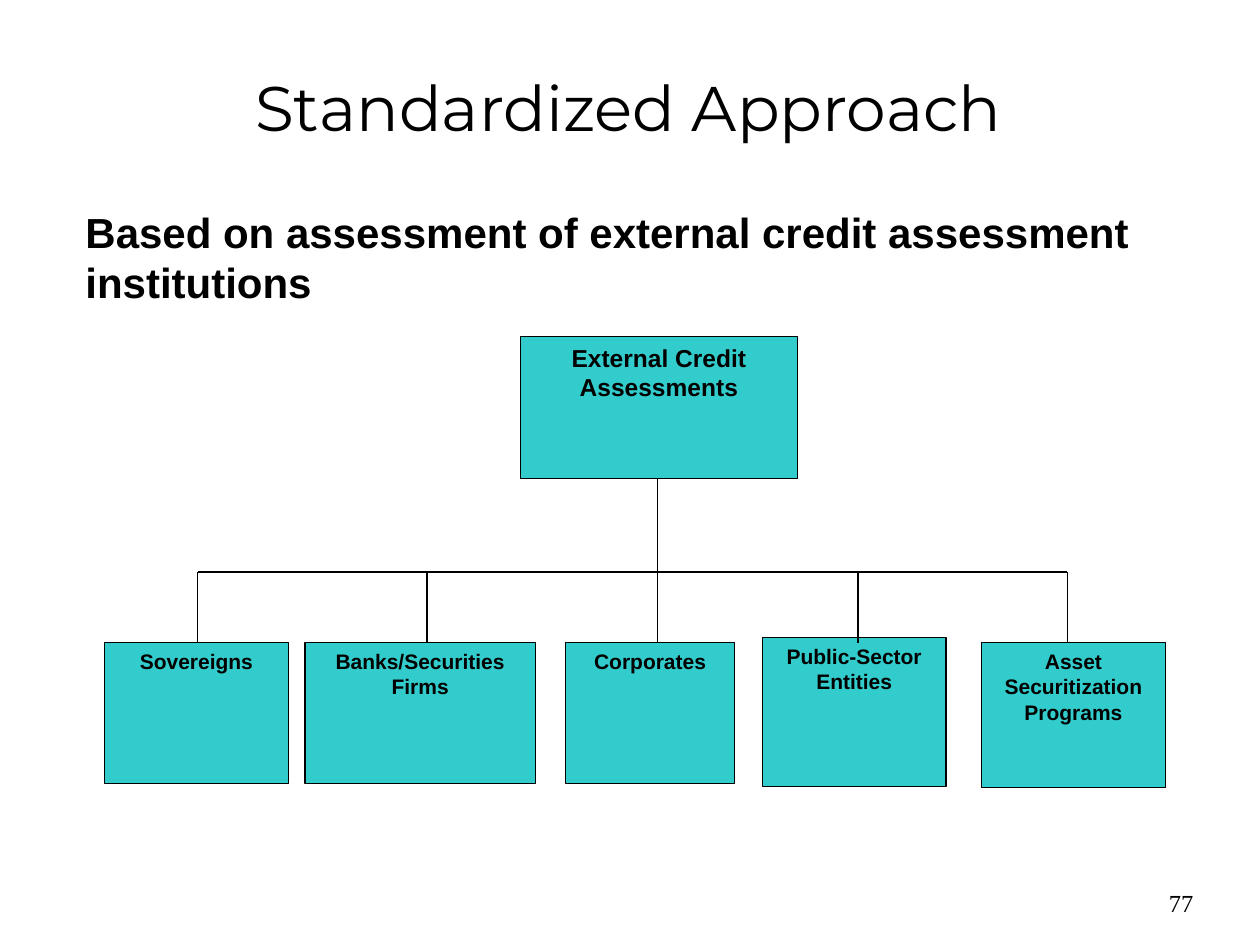
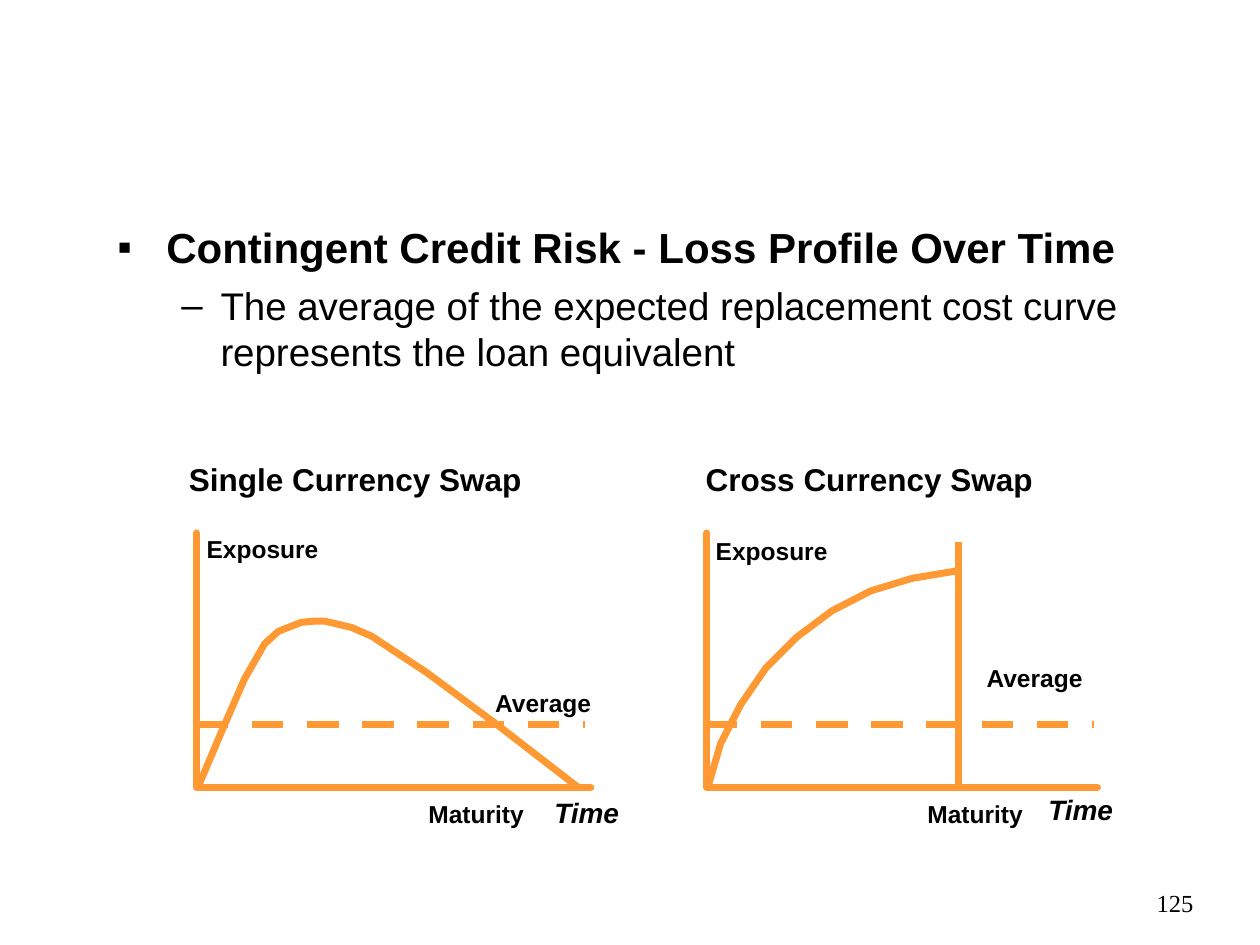
from lxml import etree
from pptx import Presentation
from pptx.dml.color import RGBColor
from pptx.enum.dml import MSO_LINE
from pptx.enum.shapes import MSO_CONNECTOR, MSO_SHAPE
from pptx.enum.text import MSO_ANCHOR, MSO_AUTO_SIZE, PP_ALIGN
from pptx.oxml.ns import qn
from pptx.util import Inches, Pt

LEFT, MID, RIGHT = PP_ALIGN.LEFT, PP_ALIGN.CENTER, PP_ALIGN.RIGHT
TOP, CENTER = MSO_ANCHOR.TOP, MSO_ANCHOR.MIDDLE
FIXED, GROW = MSO_AUTO_SIZE.NONE, MSO_AUTO_SIZE.SHAPE_TO_FIT_TEXT
STRAIGHT, RECT, DASH = MSO_CONNECTOR.STRAIGHT, MSO_SHAPE.RECTANGLE, MSO_LINE.DASH
BLACK, TEAL, ORANGE = "000000", "33CCCC", "FF9933"
SANS, SERIF, HEAD = "Arial", "Times New Roman", "Montserrat"
WIDE, TALL = 10, 7.5
PAD, SLIM = (0.1, 0.05), (0.08, 0.04)

TITLE = "Standardized Approach"
LEAD = "Based on assessment of external credit assessment institutions"
ROOT = ("External Credit Assessments", 4.13, 2.67, 2.2, 1.13)
BUS, ROW = 4.54, 5.1
UNITS = [
    ("Sovereigns", 0.83, ROW, 1.46, 1.12, 1.57),
    ("Banks/Securities Firms", 2.42, ROW, 1.83, 1.12, 3.39),
    ("Corporates", 4.49, ROW, 1.34, 1.12, 5.22),
    ("Public-Sector Entities", 6.05, 5.06, 1.46, 1.18, 6.81),
    ("Asset Securitization Programs", 7.79, ROW, 1.46, 1.15, 8.47),
]

POINTS = [
    ("Contingent Credit Risk - Loss Profile Over Time", 24, True, 0, "■", 50, 0.38, 0.38),
    ("The average of the expected replacement cost curve represents the loan equivalent",
     22, False, 5.5, "–", 100, 0.81, 0.31),
]
PEAK, BASE, MEAN = 4.23, 6.25, 5.75
STYLES = {"head": (18, False, 0.38), "note": (14, False, 0.31), "axis": (16, True, 0.35)}
PLOTS = [
    {
        "left": 1.56, "right": 4.69, "mean": (1.56, 4.64), "end": None,
        "curve": [(1.57, 6.25), (1.77, 5.78), (1.94, 5.39), (2.1, 5.11), (2.21, 5.01),
                  (2.39, 4.94), (2.49, 4.93), (2.58, 4.93), (2.79, 4.98), (2.95, 5.05),
                  (3.39, 5.34), (3.93, 5.74), (4.59, 6.25)],
        "labels": [("Single Currency Swap", "head", 1.42, 3.61, 2.8),
                   ("Exposure", "note", 1.56, 4.2, 1.05),
                   ("Average", "note", 3.85, 5.42, 0.93),
                   ("Maturity", "note", 3.32, 6.3, 0.92),
                   ("Time", "axis", 4.32, 6.27, 0.68)],
    },
    {
        "left": 5.61, "right": 8.71, "mean": (5.6, 8.68), "end": (7.61, 4.3),
        "curve": [(7.6, 4.53), (7.24, 4.59), (6.91, 4.69), (6.6, 4.85), (6.32, 5.06),
                  (6.08, 5.3), (5.88, 5.59), (5.72, 5.9), (5.62, 6.24)],
        "labels": [("Cross Currency Swap", "head", 5.52, 3.61, 2.76),
                   ("Exposure", "note", 5.6, 4.21, 1.05),
                   ("Average", "note", 7.75, 5.22, 0.93),
                   ("Maturity", "note", 7.28, 6.3, 0.92),
                   ("Time", "axis", 8.24, 6.25, 0.68)],
    },
]


def paint(code):
    return RGBColor.from_string(code)


def place(shape, x, y, w, h):
    shape.left, shape.top = Inches(x), Inches(y)
    shape.width, shape.height = Inches(w), Inches(h)


def style(para, size, face=SANS, bold=False, slant=False, align=LEFT):
    para.alignment = align
    for run in para.runs:
        font = run.font
        font.size, font.name = Pt(size), face
        font.bold, font.italic = bold, slant
        font.color.rgb = paint(BLACK)


def frame(shape, pad=PAD, anchor=TOP, wrap=True, fit=FIXED):
    body = shape.text_frame
    body.margin_left = body.margin_right = Inches(pad[0])
    body.margin_top = body.margin_bottom = Inches(pad[1])
    body.vertical_anchor = anchor
    body.word_wrap, body.auto_size = wrap, fit
    return body


def write(shape, text, size, pad=PAD, anchor=TOP, wrap=True, fit=FIXED, **look):
    body = frame(shape, pad, anchor, wrap, fit)
    body.text = text
    style(body.paragraphs[0], size, **look)


def label(slide, text, box, size, **look):
    shape = slide.shapes.add_textbox(*map(Inches, box))
    write(shape, text, size, **look)


def number(slide, text):
    label(slide, text, (7.49, 7, 2.08, 0.5), 14, face=SERIF, align=RIGHT)


def block(slide, text, box, size):
    shape = slide.shapes.add_shape(RECT, *map(Inches, box))
    shape.shadow.inherit = False
    shape.fill.solid()
    shape.fill.fore_color.rgb = paint(TEAL)
    stroke(shape, BLACK, 0.75)
    write(shape, text, size, bold=True, align=MID)


def stroke(shape, color, width):
    shape.line.color.rgb = paint(color)
    shape.line.width = Pt(width)


def link(slide, start, end, color=BLACK, width=0.75):
    line = slide.shapes.add_connector(STRAIGHT, *map(Inches, start + end))
    stroke(line, color, width)
    etree.SubElement(line._element.spPr, qn("a:effectLst"))
    return line


def trace(slide, spots, cap="flat"):
    first, *rest = [(Inches(x), Inches(y)) for x, y in spots]
    pen = slide.shapes.build_freeform(*first)
    pen.add_line_segments(rest, close=False)
    shape = pen.convert_to_shape()
    shape.shadow.inherit = False
    shape.fill.background()
    stroke(shape, ORANGE, 4)
    edge = shape.line._get_or_add_ln()
    edge.set("cap", cap)
    etree.SubElement(edge, qn("a:round"))


def bullet(para, mark, share, indent, hang):
    props = para._p.get_or_add_pPr()
    props.set("marL", str(Inches(indent)))
    props.set("indent", str(-Inches(hang)))
    tint = etree.SubElement(props, qn("a:buClr"))
    etree.SubElement(tint, qn("a:srgbClr"), val=BLACK)
    etree.SubElement(props, qn("a:buSzPct"), val=str(share * 1000))
    etree.SubElement(props, qn("a:buFont"), typeface=SANS)
    etree.SubElement(props, qn("a:buChar"), char=mark)


def chart_tree(deck):
    slide = deck.slides.add_slide(deck.slide_layouts[5])
    title = slide.shapes.title
    place(title, 0.4, 0.27, 9.17, 1.14)
    write(title, TITLE, 36, anchor=CENTER, face=HEAD, align=MID)
    label(slide, LEAD, (0.58, 1.59, 9, 0.9), 24, bold=True)
    block(slide, ROOT[0], ROOT[1:], 14)
    for text, *box, stem in UNITS:
        block(slide, text, box, 12)
        link(slide, (stem, BUS), (stem, ROW))
    link(slide, (UNITS[0][-1], BUS), (UNITS[-1][-1], BUS))
    trunk = UNITS[2][-1]
    link(slide, (trunk, ROOT[2] + ROOT[4]), (trunk, BUS))
    number(slide, "77")


def plot(slide, data):
    left, right = data["left"], data["right"]
    trace(slide, [(left, PEAK), (left, BASE), (right, BASE)], "rnd")
    if data["end"]:
        x, y = data["end"]
        link(slide, (x, y), (x, BASE), ORANGE, 4)
    trace(slide, data["curve"])
    for text, kind, x, y, w in data["labels"]:
        size, slant, h = STYLES[kind]
        label(slide, text, (x, y, w, h), size, pad=SLIM, wrap=False, fit=GROW,
              bold=True, slant=slant)
    start, end = data["mean"]
    mean = link(slide, (start, MEAN), (end, MEAN), ORANGE, 4.5)
    mean.line.dash_style = DASH


def loss_curves(deck):
    slide = deck.slides.add_slide(deck.slide_layouts[1])
    title = slide.shapes.title._element
    title.getparent().remove(title)
    shape = slide.placeholders[1]
    place(shape, 0.84, 1.71, 8.5, 4.5)
    body = frame(shape)
    body.text = "\n".join(point[0] for point in POINTS)
    for level, (para, point) in enumerate(zip(body.paragraphs, POINTS)):
        _, size, bold, gap, *mark = point
        para.level = level
        bullet(para, *mark)
        para.space_before = Pt(gap)
        style(para, size, bold=bold)
    for data in PLOTS:
        plot(slide, data)
    number(slide, "125")


def main():
    deck = Presentation()
    deck.slide_width, deck.slide_height = Inches(WIDE), Inches(TALL)
    chart_tree(deck)
    loss_curves(deck)
    deck.save("out.pptx")


if __name__ == "__main__":
    main()
